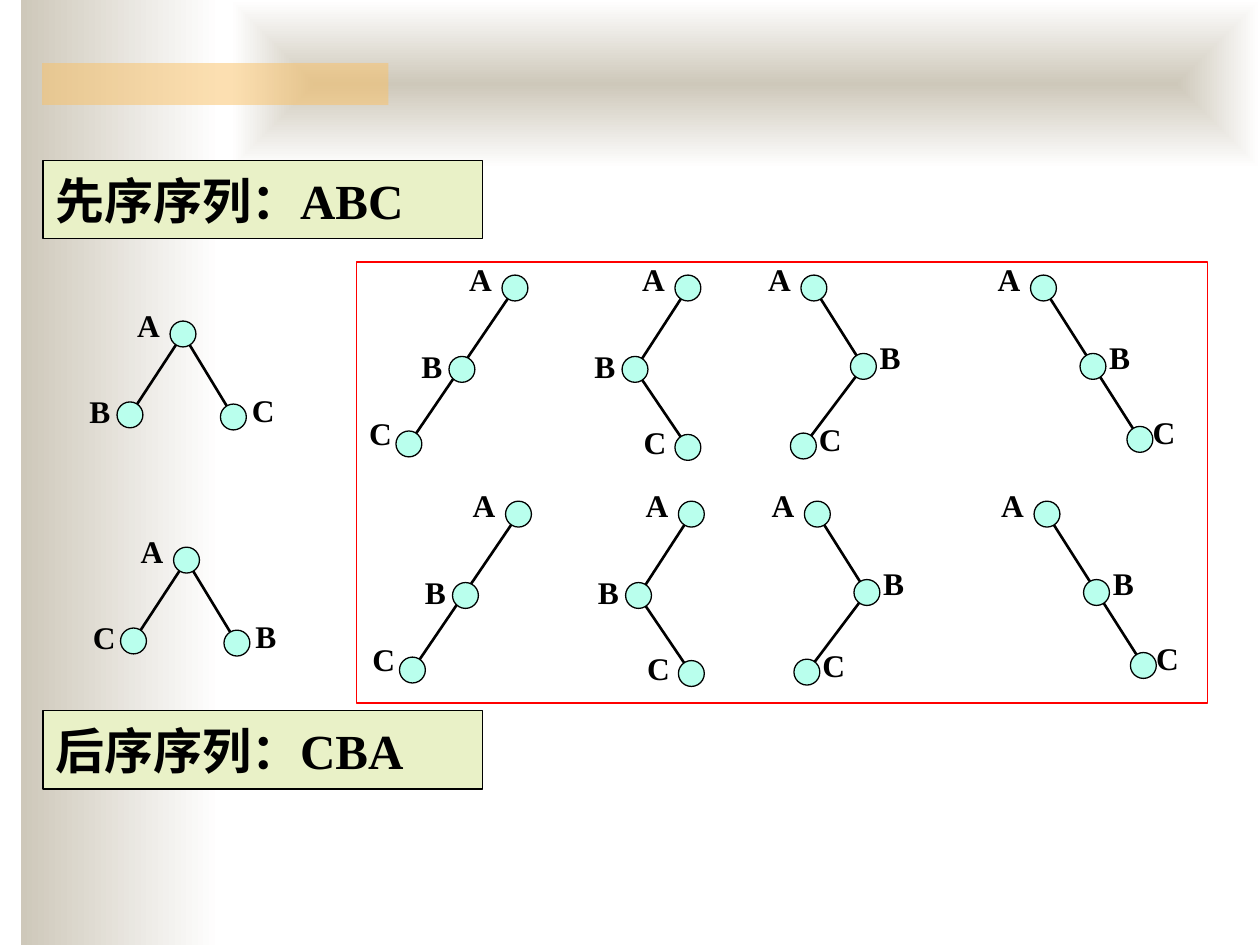
from lxml import etree
from pptx import Presentation
from pptx.dml.color import RGBColor
from pptx.enum.shapes import MSO_CONNECTOR, MSO_SHAPE
from pptx.enum.text import MSO_ANCHOR, PP_ALIGN
from pptx.oxml.ns import qn
from pptx.util import Pt

RECTANGLE, OVAL = MSO_SHAPE.RECTANGLE, MSO_SHAPE.OVAL
STRAIGHT = MSO_CONNECTOR.STRAIGHT
MIDDLE = MSO_ANCHOR.MIDDLE
LEFT, JUSTIFY = PP_ALIGN.LEFT, PP_ALIGN.JUSTIFY

BLACK, RED, WHITE = "000000", "FF0000", "FFFFFF"
SAND, ORANGE, MINT, LIME = "CEC8BA", "FAC164", "B9FFED", "E9F1C7"

SIDE_BAND = (12, 0, 114, 540)
TOP_BAND = (132, 0, 588, 96)
ACCENT_BAR = (24, 36, 198, 24)
FRAME = (203.8, 149.8, 486.3, 252)
BANNERS = [
    ("后序序列：CBA", (24.6, 406.2, 251, 44.8)),
    ("先序序列：ABC", (24.6, 91.6, 251, 44.8)),
]

# Each node: centre x, centre y, label offset x, label offset y
TREES = [
    {"edges": [(0, 1), (0, 2)],
     "nodes": [(104.6, 190.9, -33.3, -22.6), (74.3, 237.1, -30.3, -19.7), (133.4, 238.3, 3.4, -21.6)]},
    {"edges": [(0, 2)],
     "nodes": [(294.3, 164.6, -33.3, -22.6), (264, 211.1, -30.3, -19.7), (233.7, 253.7, -29.9, -24)]},
    {"edges": [(0, 1), (1, 2)],
     "nodes": [(393.1, 164.6, -33.3, -22.6), (362.9, 211.1, -30.3, -19.7), (393.1, 255.7, -32.4, -21)]},
    {"edges": [(0, 1), (1, 2)],
     "nodes": [(465.1, 164.6, -33.3, -22.6), (493.4, 209.4, 2.2, -22.9), (459.1, 254.9, 1.7, -21.6)]},
    {"edges": [(0, 2)],
     "nodes": [(596.3, 164.6, -33.3, -22.6), (624.6, 209.4, 2.2, -22.9), (651.4, 251.1, 0.2, -22.1)]},
]
ROWS = [
    {"shift": (2, 129.2), "names": ["ACB"] + ["ABC"] * 4},
    {"shift": (0, 0), "names": ["ABC"] * 5},
]
NODE_SIZE = 14.8
LABEL_SIZE = (36, 38.5)


def color(value):
    """Turn a hex string into a colour."""
    return RGBColor.from_string(value)


def add_box(slide, kind, box, fill=None, line=None):
    """Add a preset shape with a plain fill and a thin outline."""
    shape = slide.shapes.add_shape(kind, *map(Pt, box))
    shape.shadow.inherit = False
    if fill:
        shape.fill.solid()
        shape.fill.fore_color.rgb = color(fill)
    else:
        shape.fill.background()
    if line:
        shape.line.color.rgb = color(line)
        shape.line.width = Pt(0.75)
    else:
        shape.line.fill.background()
    return shape


def add_gradient_band(slide, box, centered=False):
    """Add a band that fades from sand to white, sideways or from its centre."""
    shape = add_box(slide, RECTANGLE, box)
    shape.fill.gradient()
    shape.fill.gradient_angle = 0
    for stop, value, position in zip(shape.fill.gradient_stops, (SAND, WHITE), (0, 1)):
        stop.color.rgb = color(value)
        stop.position = position
    if centered:
        linear = next(shape.element.spPr.iter(qn("a:lin")))
        radial = etree.Element(qn("a:path"), {"path": "shape"})
        etree.SubElement(radial, qn("a:fillToRect"), dict.fromkeys("ltrb", "50000"))
        linear.getparent().replace(linear, radial)


def write_text(shape, text, size, **paragraph_format):
    """Write one bold black paragraph."""
    shape.text_frame.word_wrap = True
    paragraph = shape.text_frame.paragraphs[0]
    paragraph.text = text
    for name, value in paragraph_format.items():
        setattr(paragraph, name, value)
    font = paragraph.runs[0].font
    for name, value in {"name": "Times New Roman", "size": Pt(size), "bold": True}.items():
        setattr(font, name, value)
    font.color.rgb = color(BLACK)


def add_tree(slide, tree, names, shift):
    """Draw the edges, nodes and labels of one tree."""
    centers = [(x + shift[0], y + shift[1]) for x, y, *_ in tree["nodes"]]
    for start, end in tree["edges"]:
        edge = slide.shapes.add_connector(STRAIGHT, *map(Pt, centers[start] + centers[end]))
        edge.line.color.rgb = color(BLACK)
        edge.line.width = Pt(1.5)
        etree.SubElement(edge.element.spPr, qn("a:effectLst"))
    for x, y in centers:
        corner = (x - NODE_SIZE / 2, y - NODE_SIZE / 2)
        add_box(slide, OVAL, corner + (NODE_SIZE, NODE_SIZE), MINT, BLACK)
    for name, (x, y), (*_, offset_x, offset_y) in zip(names, centers, tree["nodes"]):
        label = slide.shapes.add_textbox(*map(Pt, (x + offset_x, y + offset_y) + LABEL_SIZE))
        write_text(label, name, 18, alignment=JUSTIFY, line_spacing=1.15)


def main():
    """Build and save the slide."""
    presentation = Presentation()
    presentation.slide_width, presentation.slide_height = Pt(720), Pt(540)
    slide = presentation.slides.add_slide(presentation.slide_layouts[6])
    add_gradient_band(slide, SIDE_BAND)
    add_gradient_band(slide, TOP_BAND, centered=True)
    accent = add_box(slide, RECTANGLE, ACCENT_BAR, ORANGE)
    accent_color = next(accent.element.spPr.iter(qn("a:srgbClr")))
    etree.SubElement(accent_color, qn("a:alpha"), val="50000")
    add_box(slide, RECTANGLE, FRAME, line=RED)
    for row in ROWS:
        for tree, names in zip(TREES, row["names"]):
            add_tree(slide, tree, names, row["shift"])
    for text, box in BANNERS:
        banner = add_box(slide, RECTANGLE, box, LIME, BLACK)
        banner.text_frame.vertical_anchor = MIDDLE
        write_text(banner, text, 28, alignment=LEFT)
    presentation.save("out.pptx")


if __name__ == "__main__":
    main()
